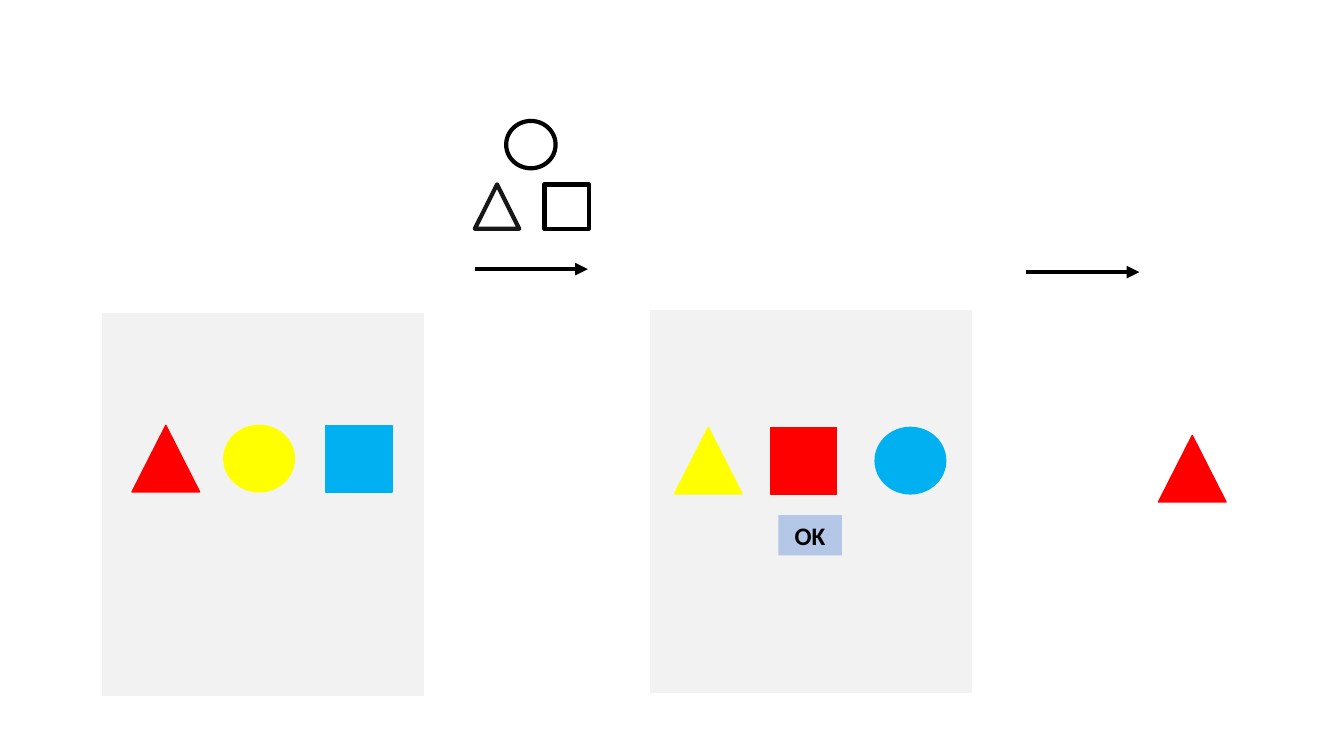
from dataclasses import dataclass
from typing import Optional

from lxml.etree import SubElement
from pptx import Presentation
from pptx.dml.color import RGBColor as RGB
from pptx.enum.shapes import MSO_CONNECTOR as Conn, MSO_SHAPE as Kind
from pptx.enum.text import MSO_ANCHOR as Anchor, PP_ALIGN as Align
from pptx.oxml.ns import qn
from pptx.shapes.autoshape import Shape
from pptx.util import Inches, Pt

COLORS = {
    "black": "000000",
    "ink": "181717",
    "panel": "F2F2F2",
    "red": "FF0000",
    "yellow": "FFFF00",
    "blue": "00B0F0",
    "button": "B4C7E7",
}
TRI, OVAL, RECT = Kind.ISOSCELES_TRIANGLE, Kind.OVAL, Kind.RECTANGLE
WIDTHS = {TRI: 0.67, OVAL: 0.7, RECT: 0.66}
HEIGHT = 0.66


@dataclass
class Item:
    kind: Kind
    left: float
    top: float
    width: float
    height: float
    fill: Optional[str] = None
    line: Optional[str] = None
    weight: float = 1


@dataclass
class Token:
    kind: Kind
    left: float
    color: str


@dataclass
class Panel:
    left: float
    top: float
    row: float
    tokens: list[Token]


# Panels with their rows of tokens, in drawing order
PANELS = [
    Panel(1.02, 3.11, 4.22, [
        Token(TRI, 1.31, "red"),
        Token(OVAL, 2.22, "yellow"),
        Token(RECT, 3.23, "blue"),
    ]),
    Panel(6.45, 3.08, 4.24, [
        Token(TRI, 6.69, "yellow"),
        Token(OVAL, 8.68, "blue"),
        Token(RECT, 7.64, "red"),
    ]),
]
ARROWS = [(4.71, 2.67), (10.18, 2.7)]
REACH = 1.12
ICONS = [
    Item(TRI, 4.71, 1.83, 0.44, 0.44, line="ink", weight=3),
    Item(OVAL, 5.02, 1.2, 0.49, 0.47, line="black", weight=3),
    Item(RECT, 5.4, 1.83, 0.44, 0.44, line="black", weight=3),
]
BUTTON = Item(RECT, 7.72, 5.11, 0.63, 0.4, fill="button")


def tint(name: str) -> RGB:
    return RGB.from_string(COLORS[name])


def draw(shapes, item: Item) -> Shape:
    shape = shapes.add_shape(item.kind, Inches(item.left), Inches(item.top),
                             Inches(item.width), Inches(item.height))
    shape.shadow.inherit = False
    if item.fill:
        shape.fill.solid()
        shape.fill.fore_color.rgb = tint(item.fill)
    else:
        shape.fill.background()
    if item.line:
        shape.line.color.rgb = tint(item.line)
        shape.line.width = Pt(item.weight)
    else:
        shape.line.fill.background()
    return shape


def token(shapes, part: Token, top: float) -> None:
    draw(shapes, Item(part.kind, part.left, top, WIDTHS[part.kind], HEIGHT,
                      part.color, part.color))


def arrow(shapes, left: float, top: float) -> None:
    link = shapes.add_connector(Conn.STRAIGHT, Inches(left), Inches(top),
                                Inches(left + REACH), Inches(top))
    link.line.color.rgb = tint("black")
    link.line.width = Pt(3)
    SubElement(link.line._get_or_add_ln(), qn("a:tailEnd"), type="triangle")
    SubElement(link._element.spPr, qn("a:effectLst"))


def write(shape: Shape, text: str, *, size: float = 18, bold: bool = False,
          color: str = "black", font: str = "Calibri",
          align: Align = Align.CENTER) -> None:
    frame = shape.text_frame
    frame.word_wrap = True
    frame.vertical_anchor = Anchor.MIDDLE
    para = frame.paragraphs[0]
    para.alignment = align
    run = para.add_run()
    run.text = text
    run.font.name = font
    run.font.size = Pt(size)
    run.font.bold = bold
    run.font.color.rgb = tint(color)


def main() -> None:
    deck = Presentation()
    deck.slide_width, deck.slide_height = Inches(13.33), Inches(7.5)
    shapes = deck.slides.add_slide(deck.slide_layouts[6]).shapes

    # Both panels
    for panel in PANELS:
        group = shapes.add_group_shape().shapes
        draw(group, Item(RECT, panel.left, panel.top, 3.18, 3.79,
                         "panel", "panel"))
        for part in panel.tokens:
            token(group, part, panel.row)

    # Arrows and the resulting token
    for left, top in ARROWS:
        arrow(shapes, left, top)
    token(shapes, Token(TRI, 11.49, "red"), 4.32)

    # Outline icons above the first arrow
    for icon in ICONS:
        draw(shapes, icon)

    # Button
    write(draw(shapes, BUTTON), "OK", bold=True)

    deck.save("out.pptx")


if __name__ == "__main__":
    main()
